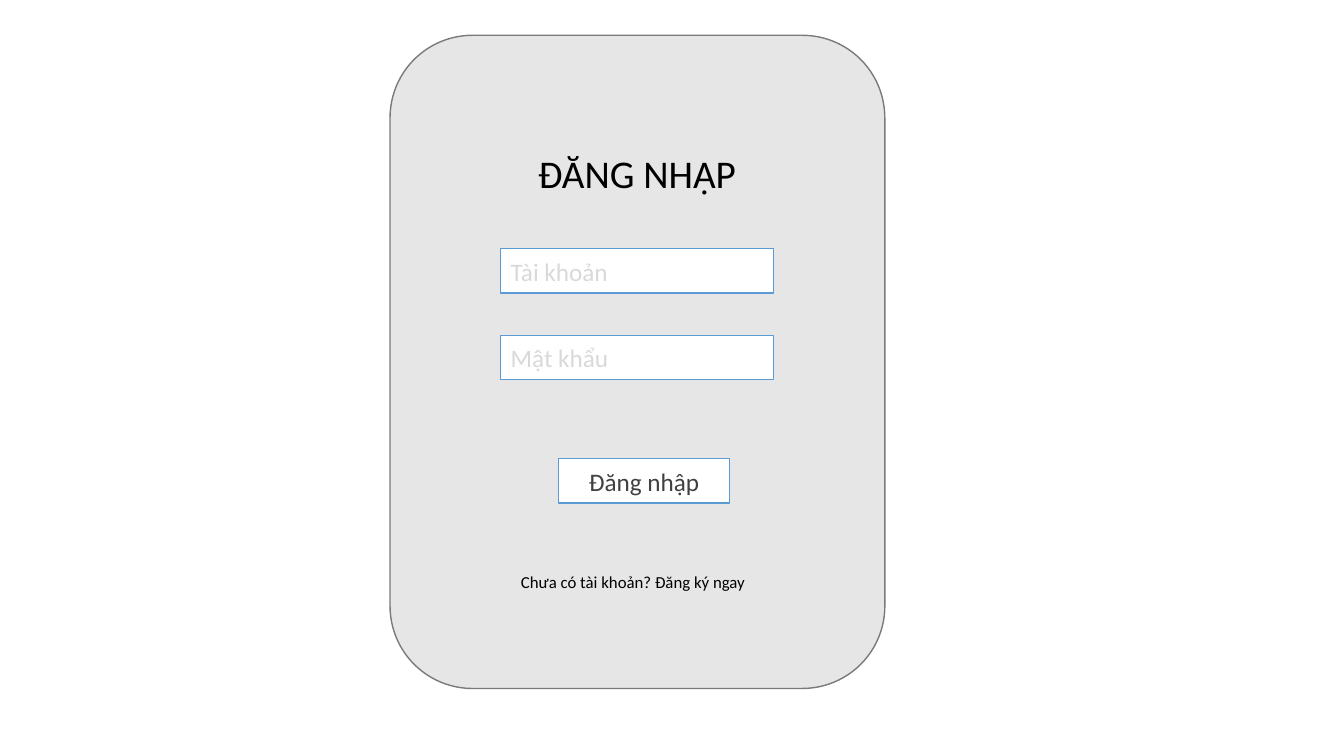
import dataclasses
import pptx
import pptx.util
import pptx.dml.color
import pptx.enum.shapes
import pptx.enum.text

Cm = pptx.util.Cm
Kind = pptx.enum.shapes.MSO_SHAPE
Align = pptx.enum.text.PP_ALIGN


@dataclasses.dataclass(frozen=True)
class Theme:
    font: str = "Calibri"
    panel: str = "E7E6E6"
    edge: str = "7A7A7A"
    white: str = "FFFFFF"
    blue: str = "5B9BD5"
    hint: str = "D9D9D9"
    dark: str = "404040"
    black: str = "000000"
    title: int = 28
    body: int = 18
    small: int = 12
    line: int = 1


class Form:
    def __init__(self, deck, theme):
        self.theme = theme
        self.slide = deck.slides.add_slide(deck.slide_layouts[6])

    def color(self, name):
        return pptx.dml.color.RGBColor.from_string(name)

    def put_text(self, frame, text, size, color, align=Align.LEFT):
        para = frame.paragraphs[0]
        para.alignment = align
        run = para.add_run()
        run.text = text
        run.font.name = self.theme.font
        run.font.size = pptx.util.Pt(size)
        run.font.color.rgb = self.color(color)

    def shape(self, kind, box, fill, line):
        item = self.slide.shapes.add_shape(kind, *map(Cm, box))
        item.shadow.inherit = False
        item.fill.solid()
        item.fill.fore_color.rgb = self.color(fill)
        item.line.color.rgb = self.color(line)
        item.line.width = pptx.util.Pt(self.theme.line)
        return item

    def panel(self, box):
        self.shape(Kind.ROUNDED_RECTANGLE, box, self.theme.panel, self.theme.edge)

    def field(self, box, text, color, align=Align.LEFT):
        item = self.shape(Kind.RECTANGLE, box, self.theme.white, self.theme.blue)
        frame = item.text_frame
        frame.vertical_anchor = pptx.enum.text.MSO_ANCHOR.MIDDLE
        self.put_text(frame, text, self.theme.body, color, align)

    def label(self, box, text, size):
        frame = self.slide.shapes.add_textbox(*map(Cm, box)).text_frame
        frame.word_wrap = True
        frame.auto_size = pptx.enum.text.MSO_AUTO_SIZE.SHAPE_TO_FIT_TEXT
        self.put_text(frame, text, size, self.theme.black)


def main():
    deck = pptx.Presentation()
    deck.slide_width = Cm(33.87)
    deck.slide_height = Cm(19.05)
    theme = Theme()
    form = Form(deck, theme)
    wide, high = 6.88, 1.12

    form.panel((9.83, 0.89, 12.47, 16.46))
    form.label((13.31, 3.63, wide, 1.45), "ĐĂNG NHẬP", theme.title)
    for row, hint in enumerate(("Tài khoản", "Mật khẩu")):
        form.field((12.62, 6.27 + row * 2.18, wide, high), hint, theme.hint)
    form.field((14.07, 11.56, 4.32, high), "Đăng nhập", theme.dark, Align.CENTER)
    form.label((12.88, 14.27, 9.42, 0.76), "Chưa có tài khoản? Đăng ký ngay", theme.small)

    deck.save("out.pptx")


if __name__ == "__main__":
    main()
